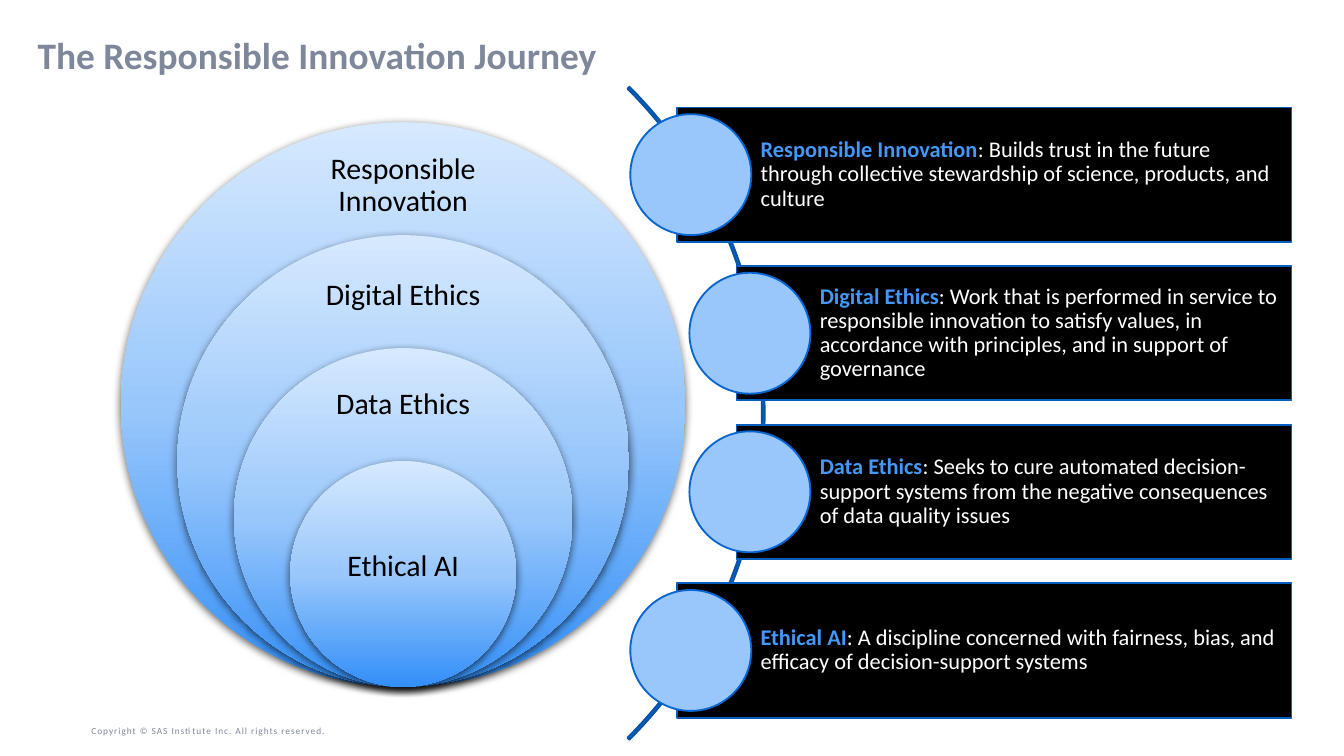
import copy

import pptx
import pptx.dml.color
import pptx.enum.shapes
import pptx.enum.text
import pptx.oxml
import pptx.oxml.ns
import pptx.util

Inches = pptx.util.Inches
Pt = pptx.util.Pt
SHAPE = pptx.enum.shapes.MSO_SHAPE
ANCHOR = pptx.enum.text.MSO_ANCHOR
ALIGN = pptx.enum.text.PP_ALIGN
qn = pptx.oxml.ns.qn


def color(value):
    return pptx.dml.color.RGBColor.from_string(value)


def write(sp, runs, insets, anchor=ANCHOR.MIDDLE, align=ALIGN.LEFT, spacing=0.9):
    tf = sp.text_frame
    sides = ("margin_left", "margin_top", "margin_right", "margin_bottom")
    frame = dict(zip(sides, map(Inches, insets)), word_wrap=True, vertical_anchor=anchor)
    for name, value in frame.items():
        setattr(tf, name, value)
    p = tf.paragraphs[0]
    for name, value in {"alignment": align, "line_spacing": spacing}.items():
        setattr(p, name, value)
    for words, size, bold, tone in runs:
        r = p.add_run()
        r.text = words
        for name, value in {"name": "Calibri", "size": Pt(size), "bold": bold}.items():
            setattr(r.font, name, value)
        r.font.color.rgb = color(tone)
    return p


prs = pptx.Presentation()
prs.slide_width, prs.slide_height = Inches(10), Inches(10 * 9 / 16)
s = prs.slides.add_slide(prs.slide_layouts[6])

sp = s.shapes.add_textbox(*map(Inches, (0.68, 5.34, 2.75, 0.19)))
p = write(sp, [("Copyright © SAS Institute Inc. All rights reserved.", 5, False, "7E889A")],
          (0, 0.05, 0.1, 0.05), ANCHOR.BOTTOM, spacing=1.0)
p.runs[0].font._element.set("spc", "50")

shadow_xml = (
    f'<a:outerShdw {pptx.oxml.ns.nsdecls("a")} blurRad="{Pt(4.5)}" dist="{Pt(1.5)}" '
    'dir="5400000" rotWithShape="0"><a:srgbClr val="000000"><a:alpha val="63000"/>'
    '</a:srgbClr></a:outerShdw>'
)
rings = [
    ("Responsible Innovation", 1.12, 0.63, 1.17),
    ("Digital Ethics", 1.95, 0.6, 1.17),
    ("Data Ethics", 2.78, 0.57, 1.17),
    ("Ethical AI", 3.85, 0.84, 1.19),
]
outer = 4.2
center = 0.9 + outer / 2
for i, (label, top, height, width) in enumerate(rings):
    d = outer * (5 - i) / 5
    sp = s.shapes.add_shape(SHAPE.OVAL, *map(Inches, (center - d / 2, 0.91 + outer - d, d, d)))
    sp.shadow.inherit = False
    sp.line.fill.background()
    sp.fill.gradient()
    sp.fill.gradient_angle = 270
    spPr = sp._element.spPr
    stops = spPr.find(".//" + qn("a:gsLst"))
    stops.append(copy.deepcopy(stops[0]))
    gradient = ((0, "D6E9FE"), (0.5, "99C7FB"), (1, "338FF8"))
    for stop, (position, tone) in zip(sp.fill.gradient_stops, gradient):
        stop.position = position
        stop.color.rgb = color(tone)
    spPr.find(qn("a:effectLst")).append(pptx.oxml.parse_xml(shadow_xml))

    sp = s.shapes.add_textbox(*map(Inches, (center - width / 2, top, width, height)))
    write(sp, [(label, 16, False, "000000")], (0, 0, 0, 0.1), align=ALIGN.CENTER)

cards = [
    (5.04, "Builds trust in the future through collective stewardship of science, "
           "products, and culture"),
    (5.48, "Work that is performed in service to responsible innovation to satisfy values, "
           "in accordance with principles, and in support of governance"),
    (5.48, "Seeks to cure automated decision-support systems from the negative consequences "
           "of data quality issues"),
    (5.04, "A discipline concerned with fairness, bias, and efficacy of decision-support systems"),
]
pieces = [(SHAPE.BLOCK_ARC, (-1.18, -0.36, 6.87, 6.87), "0766D1", "0652A7", None)]
for i, ((left, words), (label, *_)) in enumerate(zip(cards, rings)):
    top = 0.8 + 1.18 * i
    runs = [(label, 12, True, "4398F9"), (": " + words, 12, False, "FFFFFF")]
    pieces.append((SHAPE.RECTANGLE, (left, top, 9.61 - left, 1), "000000", "065DBE", runs))
    pieces.append((SHAPE.OVAL, (left - 0.35, top + 0.05, 0.9, 0.9), "99C7FB", "0766D1", None))

for kind, box, fill, line, runs in pieces:
    sp = s.shapes.add_shape(kind, *map(Inches, box))
    sp.shadow.inherit = False
    sp.fill.solid()
    sp.fill.fore_color.rgb = color(fill)
    sp.line.color.rgb = color(line)
    sp.line.width = Pt(1)
    if kind == SHAPE.BLOCK_ARC:
        for j, value in enumerate((189, 27, 0.003)):
            sp.adjustments[j] = value
    if runs:
        write(sp, runs, (0.62, 0.03, 0.04, 0.03))

sp = s.shapes.add_textbox(*map(Inches, (0.28, 0.22, 8.62, 0.42)))
write(sp, [("The Responsible Innovation Journey", 20, True, "7E889A")], (0, 0, 0, 0))

prs.save("out.pptx")
